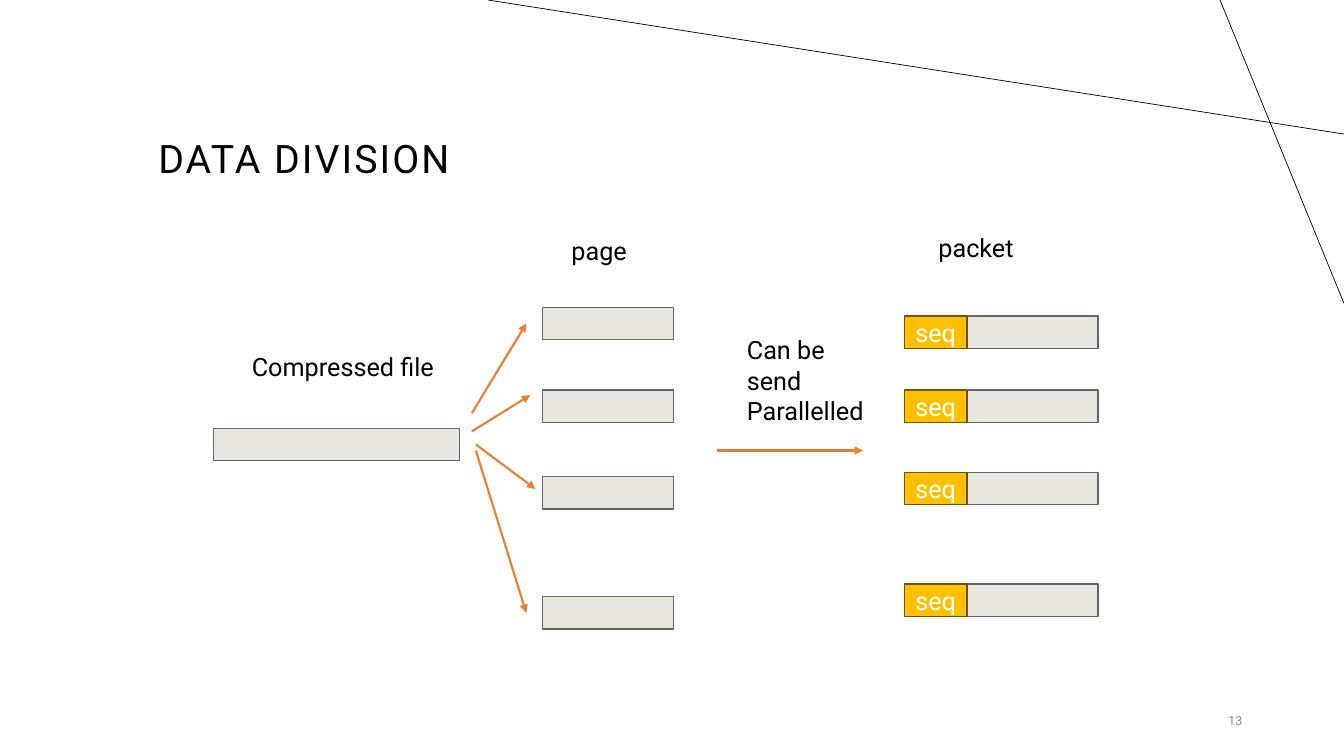
from dataclasses import dataclass

from lxml.etree import SubElement
from pptx import Presentation
from pptx.dml.color import RGBColor
from pptx.enum.shapes import MSO_CONNECTOR, MSO_SHAPE
from pptx.enum.text import MSO_ANCHOR, MSO_AUTO_SIZE, PP_ALIGN
from pptx.oxml.ns import qn
from pptx.util import Inches, Pt


@dataclass(frozen=True)
class Theme:
    font: str = "Roboto"
    black: str = "000000"
    white: str = "FFFFFF"
    muted: str = "8C8C8C"
    data: str = "E9E6DF"
    data_edge: str = "666562"
    seq: str = "FFC000"
    seq_edge: str = "705400"
    arrow: str = "ED7D31"
    title_size: float = 28
    body_size: float = 18
    number_size: float = 9
    decor_width: float = 0.5
    edge_width: float = 1
    arrow_width: float = 1.5


THEME = Theme()

TITLE = ("DATA DIVISION", (1.47, 0.61, 10.89, 1.25))
PAGE_NUMBER = ("13", (11.34, 6.95, 1.08, 0.4))
LABELS = [
    ("packet", (9.21, 2.26, 1.03, 0.4)),
    ("page", (5.57, 2.29, 1.03, 0.4)),
    ("Compressed file", (2.4, 3.44, 2.04, 0.4)),
    ("Can be send Parallelled", (7.31, 3.27, 1.5, 1.01)),
]
SEQ_TEXT = "seq"

BAR_HEIGHT = 0.32
FILE_BAR = (2.12, 4.25, 2.44, BAR_HEIGHT)
PAGE_LEFT, PAGE_WIDTH = 5.38, 1.3
PAGE_TOPS = [3.05, 3.87, 4.73, 5.92]
SEQ_LEFT, SEQ_WIDTH = 8.97, 0.62
PACKET_TOPS = [3.135, 3.87, 4.685, 5.795]

DECOR_LINES = [((13.33, 1.33), (4.84, 0)), ((12.1, 0), (13.33, 3.01))]
ARROWS = [
    ((4.68, 4.1), (5.22, 3.21)),
    ((4.68, 4.28), (5.26, 3.92)),
    ((4.72, 4.41), (5.31, 4.85)),
    ((4.72, 4.47), (5.22, 6.08)),
    ((7.11, 4.47), (8.56, 4.47)),
]


def write(shape, text, *, size=THEME.body_size, color=THEME.black,
          align=PP_ALIGN.LEFT, anchor=MSO_ANCHOR.TOP, line_spacing=None,
          tracking=None, side_margin=0.1):
    frame = shape.text_frame
    frame.word_wrap = True
    frame.auto_size = MSO_AUTO_SIZE.NONE
    frame.vertical_anchor = anchor
    frame.margin_left = frame.margin_right = Inches(side_margin)
    paragraph = frame.paragraphs[0]
    paragraph.alignment = align
    if line_spacing:
        paragraph.line_spacing = line_spacing
    run = paragraph.add_run()
    run.text = text
    run.font.name = THEME.font
    run.font.size = Pt(size)
    run.font.color.rgb = RGBColor.from_string(color)
    if tracking:
        run.font._element.set("spc", str(int(tracking * 100)))


def add_bar(slide, box, fill, edge):
    bar = slide.shapes.add_shape(MSO_SHAPE.RECTANGLE, *map(Inches, box))
    bar.shadow.inherit = False
    bar.fill.solid()
    bar.fill.fore_color.rgb = RGBColor.from_string(fill)
    bar.line.color.rgb = RGBColor.from_string(edge)
    bar.line.width = Pt(THEME.edge_width)
    return bar


def add_line(slide, start, end, color, width, arrow=False):
    line = slide.shapes.add_connector(
        MSO_CONNECTOR.STRAIGHT, *map(Inches, (*start, *end)))
    line.line.color.rgb = RGBColor.from_string(color)
    line.line.width = Pt(width)
    if arrow:
        SubElement(line.line._get_or_add_ln(), qn("a:tailEnd"), type="triangle")
    SubElement(line._element.spPr, qn("a:effectLst"))


def add_text(slide, text, box, **text_format):
    write(slide.shapes.add_textbox(*map(Inches, box)), text, **text_format)


def main():
    deck = Presentation()
    deck.slide_width, deck.slide_height = Inches(13.33), Inches(7.5)
    slide = deck.slides.add_slide(deck.slide_layouts[5])

    for start, end in DECOR_LINES:
        add_line(slide, start, end, THEME.black, THEME.decor_width)

    heading, heading_box = TITLE
    title = slide.shapes.title
    title.left, title.top, title.width, title.height = map(Inches, heading_box)
    write(title, heading, size=THEME.title_size, anchor=MSO_ANCHOR.BOTTOM,
          line_spacing=0.9, tracking=1.5)

    add_text(slide, *PAGE_NUMBER, size=THEME.number_size, color=THEME.muted,
             align=PP_ALIGN.RIGHT, anchor=MSO_ANCHOR.MIDDLE)

    payload_left = SEQ_LEFT + SEQ_WIDTH
    page_bars = [(PAGE_LEFT, top, PAGE_WIDTH, BAR_HEIGHT) for top in PAGE_TOPS]
    payload_bars = [(payload_left, top, PAGE_WIDTH, BAR_HEIGHT) for top in PACKET_TOPS]
    for box in [FILE_BAR, *page_bars, *payload_bars]:
        add_bar(slide, box, THEME.data, THEME.data_edge)

    for top in PACKET_TOPS:
        seq = add_bar(slide, (SEQ_LEFT, top, SEQ_WIDTH, BAR_HEIGHT),
                      THEME.seq, THEME.seq_edge)
        write(seq, SEQ_TEXT, color=THEME.white, align=PP_ALIGN.CENTER,
              anchor=MSO_ANCHOR.MIDDLE, side_margin=0)

    for start, end in ARROWS:
        add_line(slide, start, end, THEME.arrow, THEME.arrow_width, arrow=True)

    for label, box in LABELS:
        add_text(slide, label, box)

    deck.save("out.pptx")


if __name__ == "__main__":
    main()
